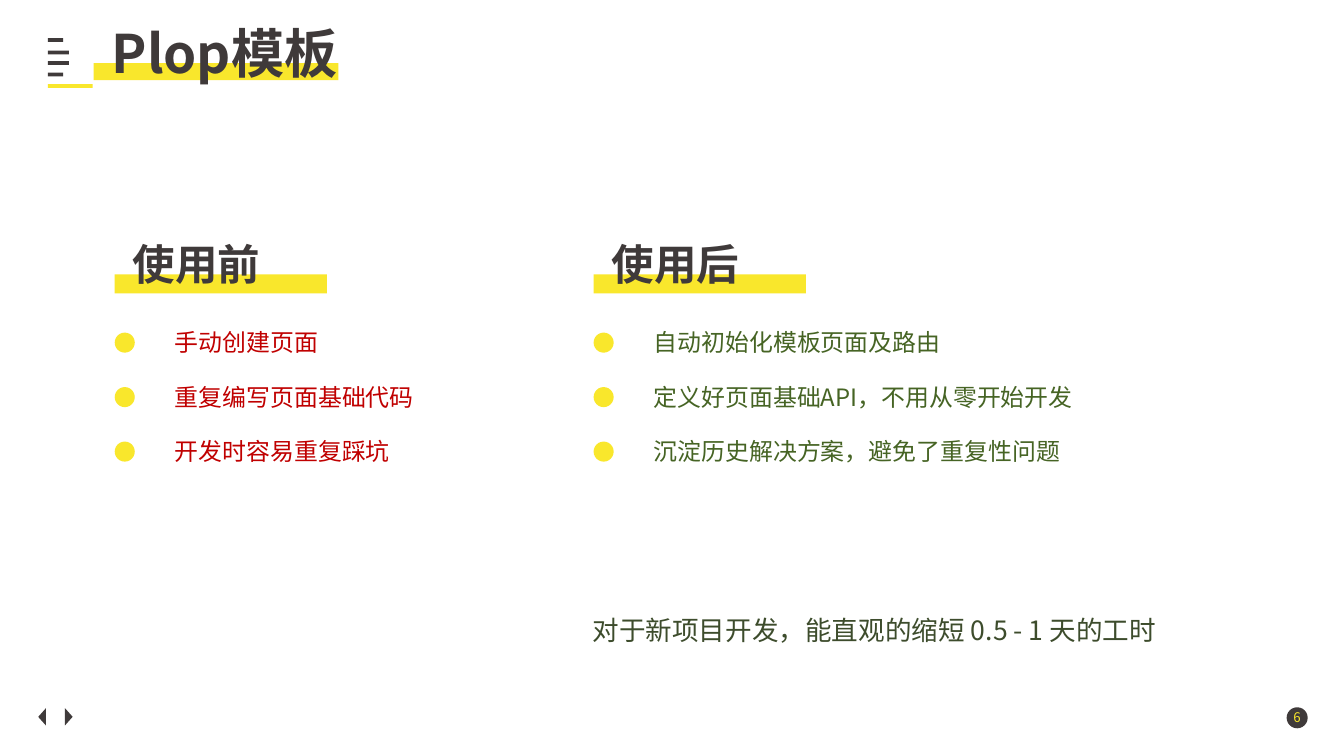
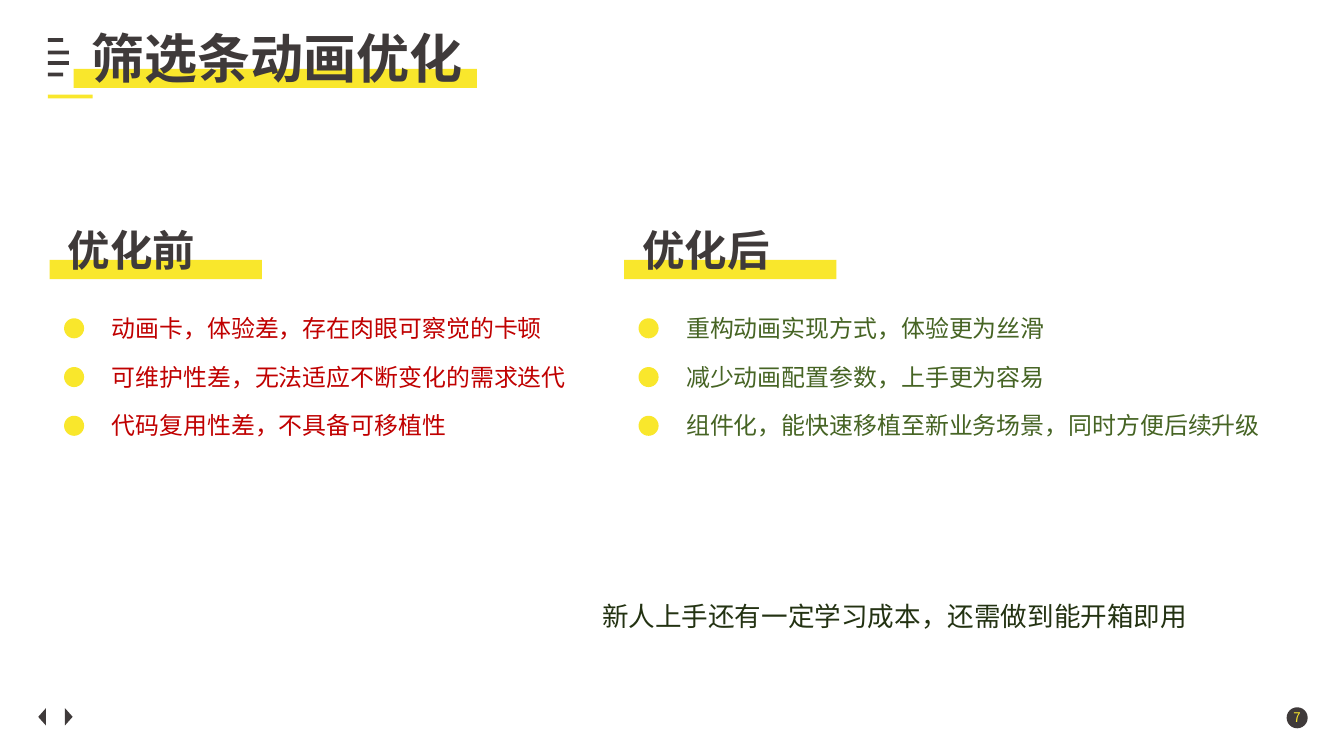
"""Build two before-and-after slides with a shared frame."""
from lxml import etree
from pptx import Presentation
from pptx.dml.color import RGBColor
from pptx.enum.shapes import MSO_SHAPE
from pptx.enum.text import PP_ALIGN
from pptx.oxml.ns import qn
from pptx.util import Inches, Pt

RECT = MSO_SHAPE.RECTANGLE
OVAL = MSO_SHAPE.OVAL
WEDGE = MSO_SHAPE.ISOSCELES_TRIANGLE
LEFT = PP_ALIGN.LEFT
MID = PP_ALIGN.CENTER

FONT = "Noto Sans CJK SC"
HUES = {
    "ink": "3F3A3A",
    "sun": "F9E72C",
    "red": "C00000",
    "green": "466424",
    "moss": "3D4C2C",
    "pine": "233212",
}


class Deck:
    def __init__(self):
        self.file = Presentation()
        self.file.slide_width = Inches(14.06)
        self.file.slide_height = Inches(7.91)
        self.slide = None

    def shape(self, kind, x, y, w, h, hue="sun", turn=0):
        item = self.slide.shapes.add_shape(
            kind, Inches(x), Inches(y), Inches(w), Inches(h))
        item.shadow.inherit = False
        item.fill.solid()
        item.fill.fore_color.rgb = RGBColor.from_string(HUES[hue])
        item.line.fill.background()
        item.rotation = turn

    def text(self, words, x, y, w, h, size=18, hue="ink", bold=False, align=LEFT):
        box = self.slide.shapes.add_textbox(
            Inches(x), Inches(y), Inches(w), Inches(h))
        box.text_frame.word_wrap = True
        para = box.text_frame.paragraphs[0]
        para.alignment = align
        run = para.add_run()
        run.text = words
        run.font.size = Pt(size)
        run.font.bold = bold
        run.font.color.rgb = RGBColor.from_string(HUES[hue])
        run.font.name = FONT
        east = etree.SubElement(run.font._element, qn("a:ea"))
        east.set("typeface", FONT)

    def page(self, num):
        self.slide = self.file.slides.add_slide(self.file.slide_layouts[6])
        self.shape(OVAL, 13.46, 7.4, 0.22, 0.22, "ink")
        self.text(str(num), 13.43, 7.37, 0.28, 0.27, 10, "sun", align=MID)
        for y, w in ((0.4, 0.16), (0.53, 0.22), (0.64, 0.22), (0.76, 0.16)):
            self.shape(RECT, 0.5, y, w, 0.04, "ink")
        for x, turn in ((0.35, 270), (0.63, 90)):
            self.shape(WEDGE, x, 7.46, 0.18, 0.08, "ink", turn)

    def title(self, words, x, y, w, h, rule):
        self.shape(RECT, x, y, w, h)
        self.text(words, x + 0.09, y - 0.5, 4.35, 0.77, 40, bold=True)
        self.shape(RECT, 0.5, rule, 0.47, 0.04)

    def column(self, head, items, hue, x, y, width, inset, gap, step):
        self.shape(RECT, x, y, 2.22, 0.2)
        self.text(head, x + 0.09, y - 0.43, 3.58, 0.64, 32, bold=True)
        dot = x + inset
        for row, words in enumerate(items):
            top = y + 0.61 + row * step
            self.shape(OVAL, dot, top, 0.21, 0.21)
            self.text(words, dot + gap, top - 0.1, width, 0.4, hue=hue)

    def note(self, words, x, y, hue):
        self.text(words, x, y, 7.5, 0.44, 20, hue)


def main():
    deck = Deck()

    deck.page(6)
    deck.title("Plop模板", 0.98, 0.66, 2.56, 0.18, rule=0.88)
    grid = {"y": 2.87, "inset": 0, "gap": 0.53, "step": 0.57}
    deck.column("使用前", [
        "手动创建页面",
        "重复编写页面基础代码",
        "开发时容易重复踩坑",
    ], "red", x=1.2, width=3, **grid)
    deck.column("使用后", [
        "自动初始化模板页面及路由",
        "定义好页面基础API，不用从零开始开发",
        "沉淀历史解决方案，避免了重复性问题",
    ], "green", x=6.21, width=5.3, **grid)
    deck.note("对于新项目开发，能直观的缩短 0.5 - 1 天的工时", 6.1, 6.37, "moss")

    deck.page(7)
    deck.title("筛选条动画优化", 0.77, 0.72, 4.22, 0.2, rule=0.99)
    grid = {"y": 2.72, "inset": 0.15, "gap": 0.4, "step": 0.51}
    deck.column("优化前", [
        "动画卡，体验差，存在肉眼可察觉的卡顿",
        "可维护性差，无法适应不断变化的需求迭代",
        "代码复用性差，不具备可移植性",
    ], "red", x=0.52, width=5.5, **grid)
    deck.column("优化后", [
        "重构动画实现方式，体验更为丝滑",
        "减少动画配置参数，上手更为容易",
        "组件化，能快速移植至新业务场景，同时方便后续升级",
    ], "green", x=6.53, width=6.4, **grid)
    deck.note("新人上手还有一定学习成本，还需做到能开箱即用", 6.2, 6.23, "pine")

    deck.file.save("out.pptx")


if __name__ == "__main__":
    main()
